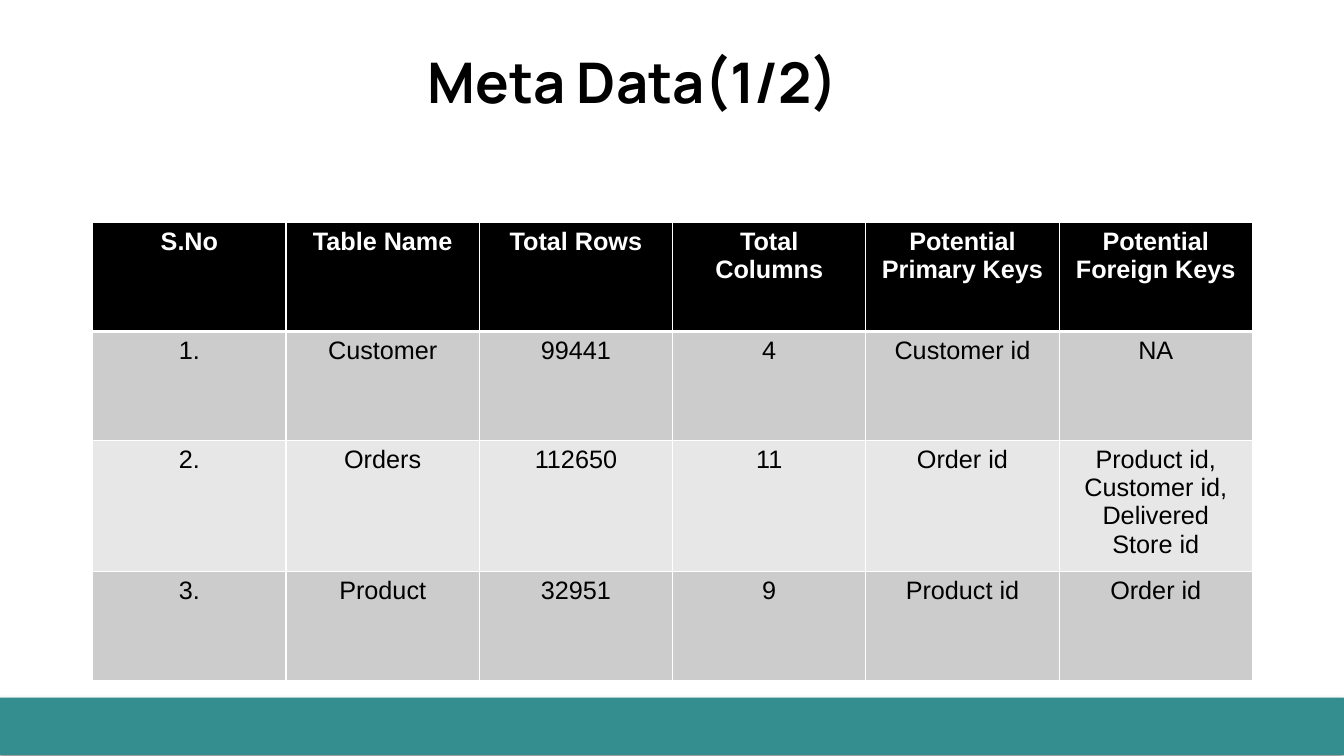
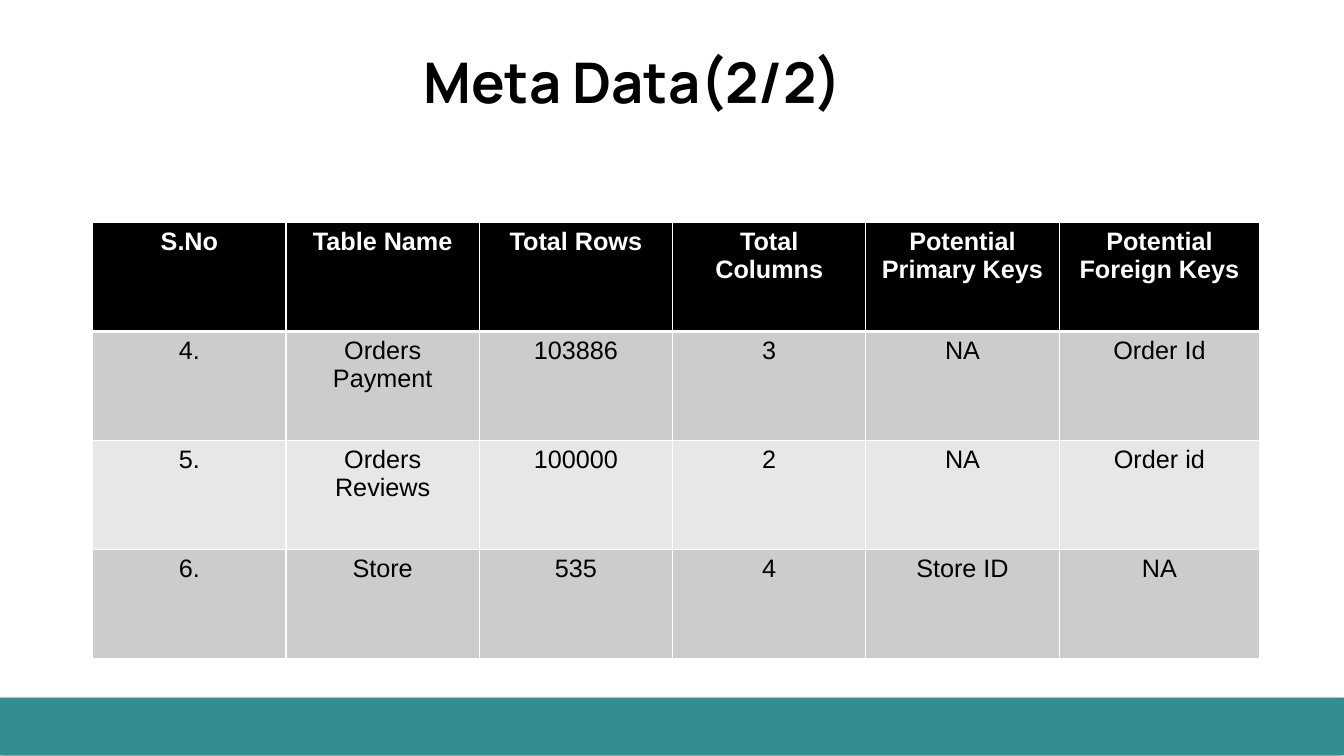
from lxml.etree import SubElement
from pptx import Presentation
from pptx.dml.color import RGBColor
from pptx.enum.shapes import MSO_SHAPE
from pptx.enum.text import MSO_ANCHOR, PP_ALIGN
from pptx.oxml.ns import qn
from pptx.util import Inches, Pt

BLACK = RGBColor(0x00, 0x00, 0x00)
WHITE = RGBColor(0xFF, 0xFF, 0xFF)
TEAL = RGBColor(0x34, 0x8E, 0x90)
DARK_GREY = RGBColor(0xCC, 0xCC, 0xCC)
LIGHT_GREY = RGBColor(0xE7, 0xE7, 0xE7)

TITLE_FONT = "Manrope"
BODY_FONT = "Arial"
COL_WIDTH = 1.917
ROW_HEIGHT = 1.08

HEADER = ["S.No", "Table Name", "Total Rows", "Total Columns",
          "Potential Primary Keys", "Potential Foreign Keys"]
SLIDES = [
    ("Meta Data(1/2)", COL_WIDTH, [
        ["1.", "Customer", "99441", "4", "Customer id", "NA"],
        ["2.", "Orders", "112650", "11", "Order id",
         "Product id, Customer id, Delivered Store id"],
        ["3.", "Product", "32951", "9", "Product id", "Order id"],
    ]),
    ("Meta Data(2/2)", 1.99, [
        ["4.", "Orders Payment", "103886", "3", "NA", "Order Id"],
        ["5.", "Orders Reviews", "100000", "2", "NA", "Order id"],
        ["6.", "Store", "535", "4", "Store ID", "NA"],
    ]),
]


def add_color(parent, color):
    return SubElement(parent, qn("a:srgbClr"), val=str(color))


def add_text(tf, text, font, size, color, bold):
    p = tf.paragraphs[0]
    p.alignment = PP_ALIGN.CENTER
    r = p.add_run()
    r.text = text
    r.font.name = font
    r.font.size = Pt(size)
    r.font.color.rgb = color
    r.font.bold = bold


def add_band(s):
    sp = s.shapes.add_shape(MSO_SHAPE.RECTANGLE, 0, Inches(6.92),
                            Inches(13.34), Inches(0.57))
    sp.fill.solid()
    sp.fill.fore_color.rgb = TEAL
    sp.line.fill.background()
    sp.shadow.inherit = False
    effects = sp.element.spPr.find(qn("a:effectLst"))
    shadow = SubElement(effects, qn("a:outerShdw"), blurRad=str(Pt(4)),
                        dist=str(Pt(3)), dir=str(135 * 60000))
    SubElement(add_color(shadow, BLACK), qn("a:alpha"), val="40000")


def add_title(s, text):
    sp = s.shapes.add_textbox(Inches(0.44), 0, Inches(11.67), Inches(1.24))
    tf = sp.text_frame
    tf.word_wrap = True
    tf.vertical_anchor = MSO_ANCHOR.BOTTOM
    tf.margin_left = tf.margin_right = Inches(0.1)
    tf.margin_top = tf.margin_bottom = Inches(0.1)
    add_text(tf, text, TITLE_FONT, 40, BLACK, True)


def set_borders(cell, top, bottom):
    tc_pr = cell._tc.get_or_add_tcPr()
    for side, width in (("L", 1), ("R", 1), ("T", top), ("B", bottom)):
        ln = SubElement(tc_pr, qn(f"a:ln{side}"), w=str(Pt(width)))
        add_color(SubElement(ln, qn("a:solidFill")), WHITE)


def style_cell(cell, text, row):
    is_header = row == 0
    set_borders(cell, 3 if row == 1 else 1, 3 if is_header else 1)
    cell.fill.solid()
    if is_header:
        cell.fill.fore_color.rgb = BLACK
    else:
        cell.fill.fore_color.rgb = DARK_GREY if row % 2 else LIGHT_GREY
    add_text(cell.text_frame, text, BODY_FONT, 18,
             WHITE if is_header else BLACK, is_header)


def add_metadata_table(s, records, last_width):
    rows = [HEADER] + records
    widths = [COL_WIDTH] * (len(HEADER) - 1) + [last_width]
    table = s.shapes.add_table(
        len(rows), len(HEADER), Inches(0.92), Inches(2.21),
        Inches(sum(widths)), Inches(ROW_HEIGHT * len(rows))).table
    for column, width in zip(table.columns, widths):
        column.width = Inches(width)
    for i, values in enumerate(rows):
        table.rows[i].height = Inches(ROW_HEIGHT)
        for j, text in enumerate(values):
            style_cell(table.cell(i, j), text, i)


def main():
    prs = Presentation()
    prs.slide_width = Inches(13.33)
    prs.slide_height = Inches(7.5)
    for title, last_width, records in SLIDES:
        s = prs.slides.add_slide(prs.slide_layouts[6])
        add_band(s)
        add_title(s, title)
        add_metadata_table(s, records, last_width)
    prs.save("out.pptx")


if __name__ == "__main__":
    main()
